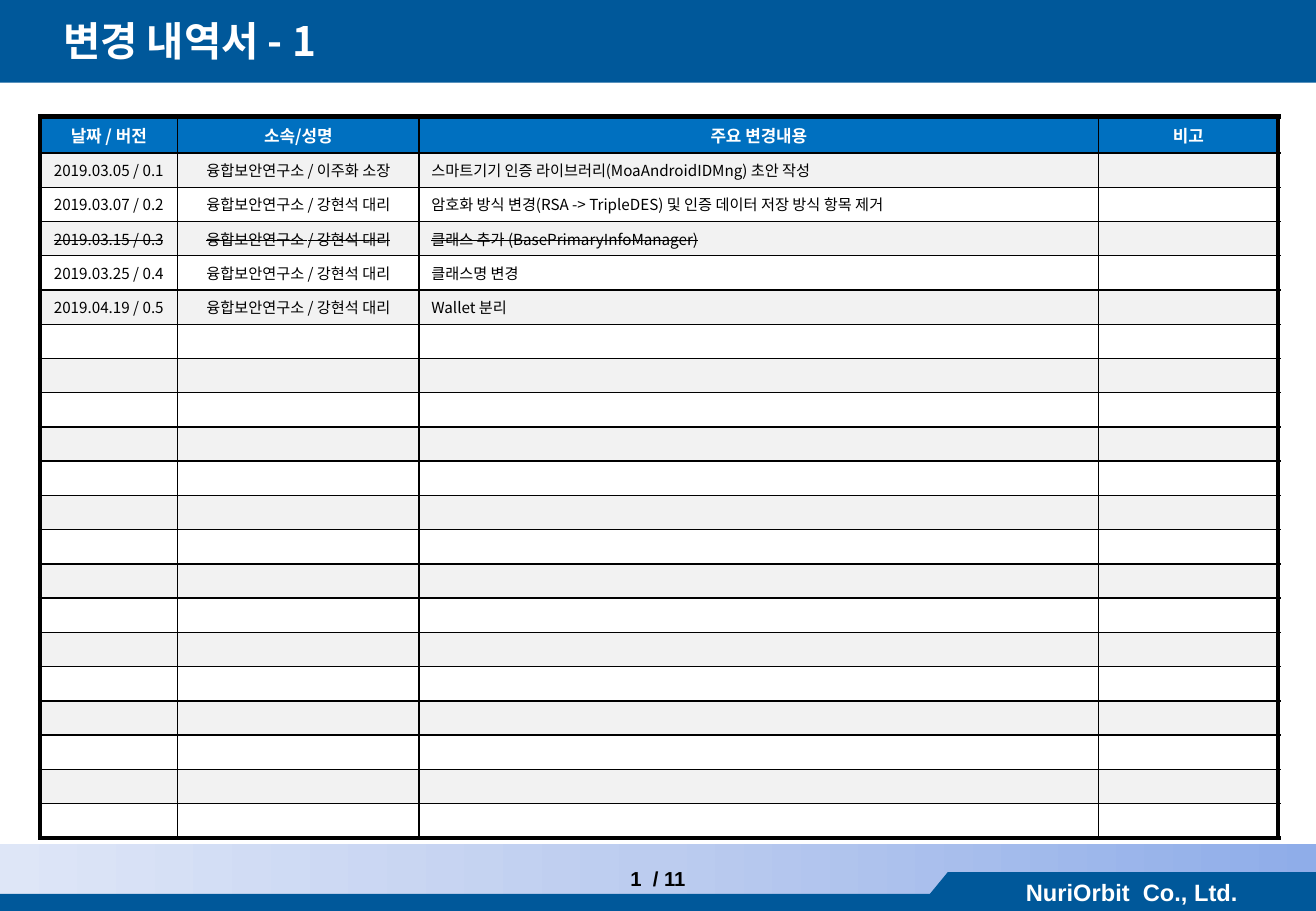
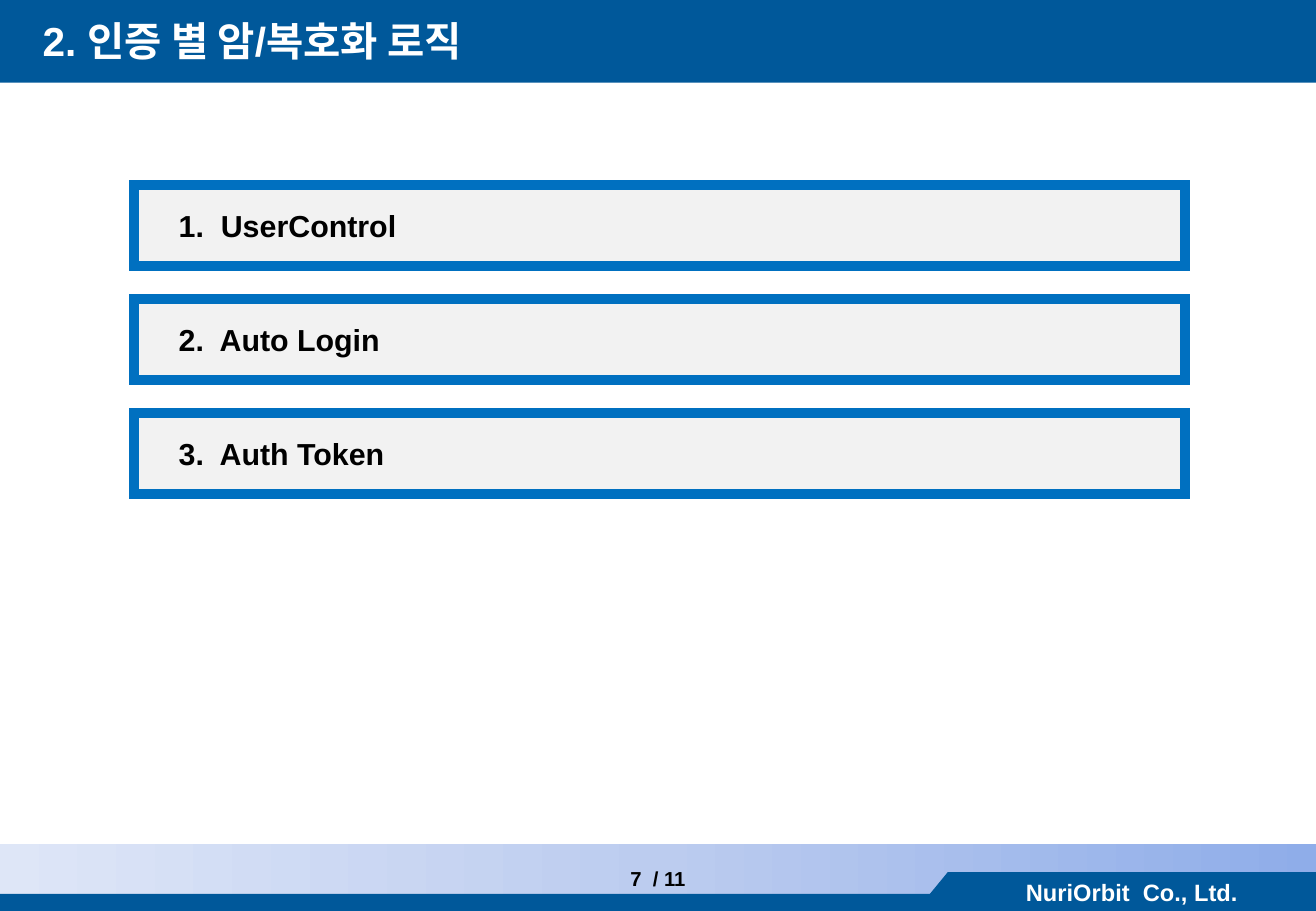
from copy import deepcopy
from dataclasses import dataclass

from lxml import etree
from pptx import Presentation
from pptx.dml.color import RGBColor
from pptx.enum.shapes import MSO_SHAPE as Preset
from pptx.enum.text import MSO_ANCHOR as Anchor, MSO_AUTO_SIZE as AutoSize, PP_ALIGN as Align
from pptx.oxml.ns import qn
from pptx.util import Inches, Pt


@dataclass(frozen=True)
class Theme:
    navy: str = "00589A"
    blue: str = "0070C0"
    pale: str = "F2F2F2"
    white: str = "FFFFFF"
    black: str = "000000"
    footer_gradient: tuple = ("8FADE9", "BCCCEF", "DEE6F7")
    latin: str = "Arial"
    korean: str = "Noto Sans CJK KR"
    title_size: int = 24
    item_size: int = 18
    company_size: int = 14
    page_size: int = 12
    header_size: int = 10
    cell_size: int = 9
    thin: int = 1
    thick: int = 3
    item_border: int = 6


THEME = Theme()
WIDTH, HEIGHT = 10.83, 7.5


def write_text(frame, text, *, size, color=THEME.black, font=THEME.latin,
               bold=False, strike=False, align=Align.LEFT):
    paragraph = frame.paragraphs[0]
    paragraph.alignment = align
    if text:
        run = paragraph.add_run()
        run.text = text
        run.font.size = Pt(size)
        run.font.bold = bold
        run.font.color.rgb = RGBColor.from_string(color)
        run.font.name = font
        props = run._r.get_or_add_rPr()
        props.set("kern", "0")
        if strike:
            props.set("strike", "sngStrike")
    else:
        # An empty cell still needs its type size, which sets the row height
        props = etree.SubElement(paragraph._p, qn("a:endParaRPr"), sz=str(size * 100))
        etree.SubElement(props, qn("a:latin"), typeface=font)
    etree.SubElement(props, qn("a:ea"), typeface=THEME.korean)


def set_borders(cell, widths):
    """Draw the left, right, top and bottom borders, in that order."""
    props = cell._tc.get_or_add_tcPr()
    for index, (side, width) in enumerate(zip("LRTB", widths)):
        line = etree.Element(qn(f"a:ln{side}"), w=str(Pt(width)))
        fill = etree.SubElement(line, qn("a:solidFill"))
        etree.SubElement(fill, qn("a:srgbClr"), val=THEME.black)
        props.insert(index, line)


class Deck:
    def __init__(self, theme):
        self.theme = theme
        self.prs = Presentation()
        self.prs.slide_width, self.prs.slide_height = Inches(WIDTH), Inches(HEIGHT)
        self.layout = self.prs.slide_layouts.get_by_name("Title Only")
        self.slide = None

    def new_slide(self, title, page, indent):
        first = self.slide is None
        self.slide = self.prs.slides.add_slide(self.layout)
        if first:
            self.share_bands()
        self.title(title, indent)
        self.page_number(page)

    def share_bands(self):
        """Draw the bands once and hand them to the layout."""
        for holder in list(self.layout.placeholders)[1:]:
            self.layout.shapes.element.remove(holder.element)
        footer = self.box(0, 6.95, WIDTH, 0.55)
        footer.fill.gradient()
        footer.fill.gradient_angle = 180
        stops = footer.element.spPr.find(".//" + qn("a:gsLst"))
        stops.append(deepcopy(stops[-1]))
        for index, color in enumerate(self.theme.footer_gradient):
            stop = footer.fill.gradient_stops[index]
            stop.position = index / 2
            stop.color.rgb = RGBColor.from_string(color)

        company = self.box(7.8, 7.18, WIDTH - 7.8, 0.32, self.theme.navy)
        write_text(company.text_frame, "NuriOrbit  Co., Ltd.", size=self.theme.company_size,
                   color=self.theme.white, bold=True, align=Align.CENTER)
        bands = [footer,
                 self.box(0, 0, WIDTH, 0.68, self.theme.navy),
                 self.box(0, 7.36, WIDTH, 0.14, self.theme.navy),
                 self.outline([(7.57, 7.46), (7.8, 7.46), (7.8, 7.18)], self.theme.navy),
                 company]
        for index, band in enumerate(bands, start=2):
            self.layout.shapes.element.insert(index, band.element)

    def style(self, shape, fill, border=None, border_width=0):
        shape.shadow.inherit = False
        if fill:
            shape.fill.solid()
            shape.fill.fore_color.rgb = RGBColor.from_string(fill)
        if border:
            shape.line.color.rgb = RGBColor.from_string(border)
            shape.line.width = Pt(border_width)
            # Square corners
            line = shape.element.spPr.find(qn("a:ln"))
            etree.SubElement(line, qn("a:miter"), lim="800000")
        else:
            shape.line.fill.background()
        return shape

    def box(self, left, top, width, height, fill=None, border=None, border_width=0):
        shape = self.slide.shapes.add_shape(
            Preset.RECTANGLE, Inches(left), Inches(top), Inches(width), Inches(height))
        shape.text_frame.vertical_anchor = Anchor.MIDDLE
        return self.style(shape, fill, border, border_width)

    def outline(self, points, fill):
        (x, y), *rest = [(Inches(px), Inches(py)) for px, py in points]
        builder = self.slide.shapes.build_freeform(x, y)
        builder.add_line_segments(rest, close=True)
        return self.style(builder.convert_to_shape(), fill)

    def title(self, text, indent):
        title = self.slide.shapes.title
        title.left, title.top = Inches(0.27), Inches(0)
        title.width, title.height = Inches(10.55), Inches(0.67)
        frame = title.text_frame
        frame.auto_size = AutoSize.NONE
        frame.vertical_anchor = Anchor.MIDDLE
        frame.margin_left = Inches(indent)
        frame.margin_top = frame.margin_bottom = 0
        font = self.theme.latin if text[0].isascii() else self.theme.korean
        write_text(frame, text, size=self.theme.title_size, color=self.theme.white,
                   font=font, bold=True)

    def page_number(self, page):
        label = self.slide.shapes.add_textbox(
            Inches(0), Inches(7.08), Inches(WIDTH), Inches(0.33))
        label.text_frame.word_wrap = True
        write_text(label.text_frame, f"{page}  / 11", size=self.theme.page_size,
                   bold=True, align=Align.CENTER)

    def item(self, text, top):
        item = self.box(1.1, top, 8.65, 0.67, self.theme.pale,
                        self.theme.blue, self.theme.item_border)
        item.text_frame.margin_left = Inches(0.37)
        write_text(item.text_frame, text, size=self.theme.item_size, bold=True)

    def history_table(self, header, entries, row_count, widths, withdrawn):
        theme = self.theme
        height, header_height = 5.94, 0.3
        row_height = (height - header_height) / (row_count - 1)
        table = self.slide.shapes.add_table(
            row_count, len(widths), Inches(0.33), Inches(0.96),
            Inches(sum(widths)), Inches(height)).table
        table.horz_banding = False
        for column, width in zip(table.columns, widths):
            column.width = Inches(width)
        blank = ("",) * len(widths)
        rows = [header, *entries] + [blank] * (row_count - 1 - len(entries))
        last_row, last_column = row_count - 1, len(widths) - 1

        for r, values in enumerate(rows):
            is_header = r == 0
            table.rows[r].height = Inches(header_height if is_header else row_height)
            fill = theme.blue if is_header else theme.pale if r % 2 else theme.white
            for c, value in enumerate(values):
                cell = table.cell(r, c)
                cell.vertical_anchor = Anchor.MIDDLE
                cell.fill.solid()
                cell.fill.fore_color.rgb = RGBColor.from_string(fill)
                edges = (c == 0, c == last_column, r == 0, r == last_row)
                set_borders(cell, [theme.thick if edge else theme.thin for edge in edges])
                write_text(cell.text_frame, value, font=theme.korean, bold=is_header,
                           size=theme.header_size if is_header else theme.cell_size,
                           color=theme.white if is_header else theme.black,
                           strike=values[0] in withdrawn,
                           align=Align.CENTER if is_header or c < 2 else Align.LEFT)


def main():
    deck = Deck(THEME)

    # Change history
    deck.new_slide("변경 내역서 - 1", page=1, indent=0.25)
    team = "융합보안연구소"
    director, deputy = f"{team} / 이주화 소장", f"{team} / 강현석 대리"
    deck.history_table(
        header=("날짜 / 버전", "소속/성명", "주요 변경내용", "비고"),
        entries=[
            ("2019.03.05 / 0.1", director, "스마트기기 인증 라이브러리(MoaAndroidIDMng) 초안 작성", ""),
            ("2019.03.07 / 0.2", deputy,
             "암호화 방식 변경(RSA -> TripleDES) 및 인증 데이터 저장 방식 항목 제거", ""),
            ("2019.03.15 / 0.3", deputy, "클래스 추가 (BasePrimaryInfoManager)", ""),
            ("2019.03.25 / 0.4", deputy, "클래스명 변경", ""),
            ("2019.04.19 / 0.5", deputy, "Wallet 분리", ""),
        ],
        row_count=21,
        widths=(1.13, 1.99, 5.59, 1.48),
        withdrawn={"2019.03.15 / 0.3"},
    )

    # Section contents
    deck.new_slide("2. 인증 별 암/복호화 로직", page=7, indent=0.08)
    for index, topic in enumerate(("UserControl", "Auto Login", "Auth Token")):
        deck.item(f"{index + 1}.  {topic}", top=1.52 + 0.94 * index)

    deck.prs.save("out.pptx")


if __name__ == "__main__":
    main()
